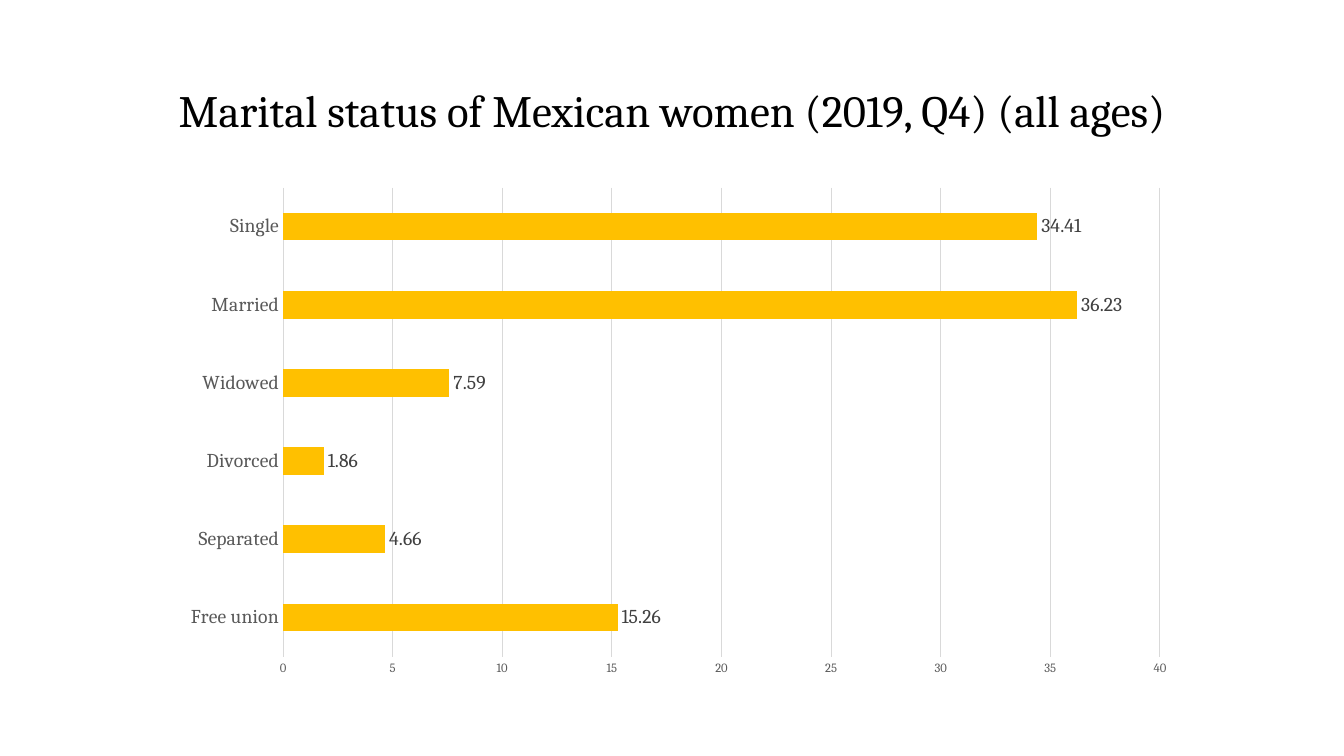
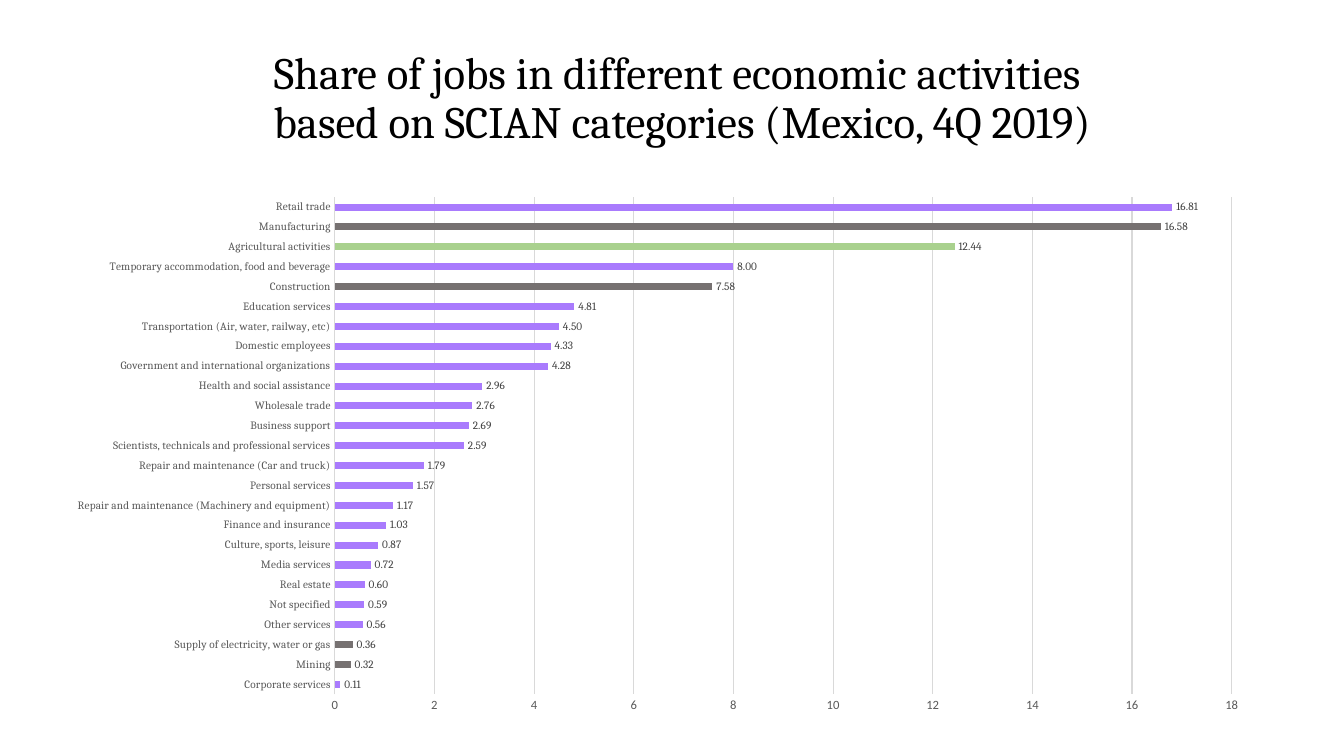
from pptx import Presentation
from pptx.chart.data import CategoryChartData
from pptx.dml.color import RGBColor
from pptx.enum.chart import XL_CHART_TYPE as CT, XL_LABEL_POSITION as LP, XL_TICK_MARK as TM
from pptx.enum.text import MSO_ANCHOR, PP_ALIGN
from pptx.util import Inches, Pt

BLACK = RGBColor(0x00, 0x00, 0x00)
LABEL = RGBColor(0x40, 0x40, 0x40)
AXIS = RGBColor(0x59, 0x59, 0x59)
GRID = RGBColor(0xD9, 0xD9, 0xD9)
GOLD = RGBColor(0xFF, 0xC0, 0x00)
SERVICES = RGBColor(0xA9, 0x7B, 0xFD)
INDUSTRY = RGBColor(0x76, 0x71, 0x71)
FARMING = RGBColor(0xA9, 0xD1, 0x8E)
SERIF, SANS = "Cambria", "Calibri"

MARITAL = [
    ("Single", 34.41), ("Married", 36.23), ("Widowed", 7.59),
    ("Divorced", 1.86), ("Separated", 4.66), ("Free union", 15.26),
]
JOBS = [
    ("Retail trade", 16.81),
    ("Manufacturing", 16.58),
    ("Agricultural activities", 12.44),
    ("Temporary accommodation, food and beverage", 8),
    ("Construction", 7.58),
    ("Education services", 4.81),
    ("Transportation (Air, water, railway, etc)", 4.5),
    ("Domestic employees", 4.33),
    ("Government and international organizations", 4.28),
    ("Health and social assistance", 2.96),
    ("Wholesale trade", 2.76),
    ("Business support", 2.69),
    ("Scientists, technicals and professional services", 2.59),
    ("Repair and maintenance (Car and truck)", 1.79),
    ("Personal services", 1.57),
    ("Repair and maintenance (Machinery and equipment)", 1.17),
    ("Finance and insurance", 1.03),
    ("Culture, sports, leisure", 0.87),
    ("Media services", 0.72),
    ("Real estate", 0.6),
    ("Not specified", 0.59),
    ("Other services", 0.56),
    ("Supply of electricity, water or gas", 0.36),
    ("Mining", 0.32),
    ("Corporate services", 0.11),
]
JOB_COLORS = {
    "Manufacturing": INDUSTRY,
    "Agricultural activities": FARMING,
    "Construction": INDUSTRY,
    "Supply of electricity, water or gas": INDUSTRY,
    "Mining": INDUSTRY,
}


def assign(obj, **values):
    for name, value in values.items():
        setattr(obj, name, value)


class Deck:
    """Holds the shared style and the current slide."""

    def __init__(self):
        self.prs = Presentation()
        assign(self.prs, slide_width=Inches(13.33), slide_height=Inches(7.5))

    def slide(self):
        self.s = self.prs.slides.add_slide(self.prs.slide_layouts[6])

    def font(self, font, size, color, name=SERIF):
        assign(font, size=Pt(size), name=name)
        font.color.rgb = color

    def fill(self, fmt, color):
        fmt.fill.solid()
        fmt.fill.fore_color.rgb = color

    def line(self, line):
        line.color.rgb = GRID
        line.width = Pt(0.75)

    def title(self, text, x, y):
        sp = self.s.shapes.add_textbox(Inches(x), Inches(y), Inches(11.5), Inches(1.45))
        tf = sp.text_frame
        assign(tf, word_wrap=True, vertical_anchor=MSO_ANCHOR.MIDDLE)
        p = tf.paragraphs[0]
        assign(p, text=text, alignment=PP_ALIGN.CENTER, line_spacing=0.9)
        for r in p.runs:
            self.font(r.font, 32, BLACK)

    def bars(self, rows, box, color, size, top, step, colors=None, value_font=SERIF):
        rows = rows[::-1]
        data = CategoryChartData()
        data.categories = [name for name, _ in rows]
        data.add_series("Series 1", [value for _, value in rows])
        frame = self.s.shapes.add_chart(CT.BAR_CLUSTERED, *map(Inches, box), data)
        chart = frame.chart
        assign(chart, has_title=False, has_legend=False)
        self.font(chart.font, 10, BLACK, value_font)

        plot = chart.plots[0]
        assign(plot, gap_width=182, vary_by_categories=False, has_data_labels=True)
        assign(plot.data_labels, show_value=True, position=LP.OUTSIDE_END,
               number_format="0.00", number_format_is_linked=False)
        self.font(plot.data_labels.font, size, LABEL)

        series = plot.series[0]
        series.invert_if_negative = False
        self.fill(series.format, color)
        for i, (name, _) in enumerate(rows):
            if colors and name in colors:
                self.fill(series.points[i].format, colors[name])

        cat, val = chart.category_axis, chart.value_axis
        for axis in (cat, val):
            assign(axis, major_tick_mark=TM.NONE, minor_tick_mark=TM.NONE)
        self.font(cat.tick_labels.font, size, AXIS)
        self.line(cat.format.line)
        assign(val, minimum_scale=0, maximum_scale=top, major_unit=step,
               has_major_gridlines=True)
        assign(val.tick_labels, number_format="General", number_format_is_linked=False)
        self.font(val.tick_labels.font, 9, AXIS, value_font)
        self.line(val.major_gridlines.format.line)
        val.format.line.fill.background()


def main():
    deck = Deck()
    deck.slide()
    deck.title("Marital status of Mexican women (2019, Q4) (all ages)", 0.92, 0.4)
    deck.bars(MARITAL, (1.69, 1.76, 10.08, 5.04), GOLD, 14, 40, 5)

    deck.slide()
    deck.title("Share of jobs in different economic activities \v"
               "based on SCIAN categories (Mexico, 4Q 2019)", 1.02, 0.26)
    deck.bars(JOBS, (0.53, 1.85, 11.99, 5.33), SERVICES, 8, 18, 2, JOB_COLORS, SANS)
    deck.prs.save("out.pptx")


if __name__ == "__main__":
    main()
